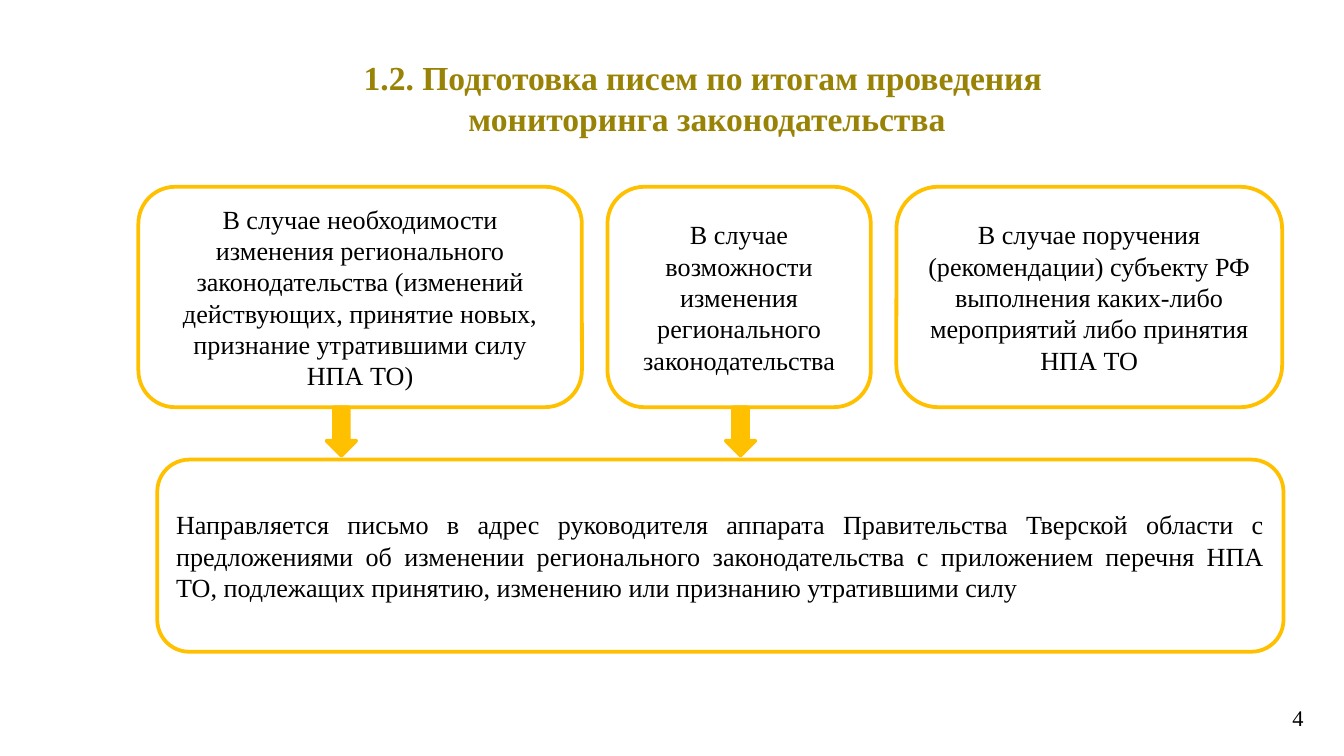
from dataclasses import dataclass

from pptx import Presentation
from pptx.dml.color import RGBColor
from pptx.enum.shapes import MSO_SHAPE
from pptx.enum.text import MSO_ANCHOR, MSO_AUTO_SIZE, PP_ALIGN
from pptx.util import Inches, Pt

FONT = "Times New Roman"
GOLD, OLIVE, BLACK, WHITE = "FFC000", "998307", "000000", "FFFFFF"
TOP, HEIGHT = 1.39, 1.64  # row of cases


@dataclass
class Box:
    text: str
    left: float
    top: float
    width: float
    height: float
    fill: str | None = WHITE
    align: PP_ALIGN = PP_ALIGN.CENTER
    inset: tuple[float, float] = (0.1, 0.05)
    corner: float = 0.1667


CASES = [
    Box("В случае необходимости изменения регионального законодательства "
        "(изменений действующих, принятие новых, признание утратившими силу НПА ТО)",
        1.03, TOP, 3.3, HEIGHT),
    Box("В случае возможности изменения регионального законодательства",
        4.52, TOP, 1.96, HEIGHT),
    Box("В случае поручения (рекомендации) субъекту РФ выполнения каких-либо "
        "мероприятий либо принятия НПА ТО",
        6.67, TOP, 2.87, HEIGHT, corner=0.19),
]
LETTER = Box(
    "Направляется письмо в адрес руководителя аппарата Правительства Тверской "
    "области с предложениями об изменении регионального законодательства с "
    "приложением перечня НПА ТО, подлежащих принятию, изменению или признанию "
    "утратившими силу",
    1.17, 3.42, 8.38, 1.43, fill=None, align=PP_ALIGN.JUSTIFY, inset=(0.07, 0.04))
ARROW_LEFTS = [2.43, 5.4]


def rgb(color: str) -> RGBColor:
    return RGBColor.from_string(color)


def write(shape, lines: list[str], size: int, color: str = BLACK,
          align: PP_ALIGN = PP_ALIGN.CENTER, bold: bool = False,
          anchor: MSO_ANCHOR = MSO_ANCHOR.MIDDLE,
          inset: tuple[float, float] = (0.07, 0.04)) -> None:
    tf = shape.text_frame
    tf.text = "\n".join(lines)
    tf.word_wrap = True
    tf.auto_size = MSO_AUTO_SIZE.NONE
    tf.vertical_anchor = anchor
    tf.margin_left = tf.margin_right = Inches(inset[0])
    tf.margin_top = tf.margin_bottom = Inches(inset[1])
    for p in tf.paragraphs:
        p.alignment = align
        p.font.name, p.font.size, p.font.bold = FONT, Pt(size), bold
        p.font.color.rgb = rgb(color)


def add_outlined(s, kind: MSO_SHAPE, left: float, top: float, width: float,
                 height: float, fill: str | None):
    sp = s.shapes.add_shape(kind, Inches(left), Inches(top), Inches(width), Inches(height))
    sp.shadow.inherit = False
    if fill:
        sp.fill.solid()
        sp.fill.fore_color.rgb = rgb(fill)
    else:
        sp.fill.background()
    sp.line.color.rgb = rgb(GOLD)
    sp.line.width = Pt(2)
    return sp


def add_box(s, box: Box) -> None:
    sp = add_outlined(s, MSO_SHAPE.ROUNDED_RECTANGLE, box.left, box.top,
                      box.width, box.height, box.fill)
    sp.adjustments[0] = box.corner
    write(sp, [box.text], 14, align=box.align, inset=box.inset)


def main() -> None:
    prs = Presentation()
    prs.slide_width = Inches(10)
    prs.slide_height = prs.slide_width * 9 // 16
    s = prs.slides.add_slide(prs.slide_layouts[5])

    # Title
    title = s.shapes.title
    title.left, title.top = Inches(0.9), Inches(0.43)
    title.width, title.height = Inches(8.66), Inches(0.59)
    write(title, ["1.2. Подготовка писем по итогам проведения",
                  " мониторинга законодательства"], 18, OLIVE, bold=True)

    # Cases and the resulting letter
    for box in [*CASES, LETTER]:
        add_box(s, box)

    # Arrows from cases to the letter
    for left in ARROW_LEFTS:
        add_outlined(s, MSO_SHAPE.DOWN_ARROW, left, TOP + HEIGHT, 0.22, 0.36, GOLD)

    # Slide number
    number = s.shapes.add_textbox(Inches(9.54), Inches(5.2), Inches(0.23), Inches(0.34))
    write(number, ["4"], 12, align=PP_ALIGN.RIGHT, anchor=MSO_ANCHOR.TOP)

    prs.save("out.pptx")


if __name__ == "__main__":
    main()
